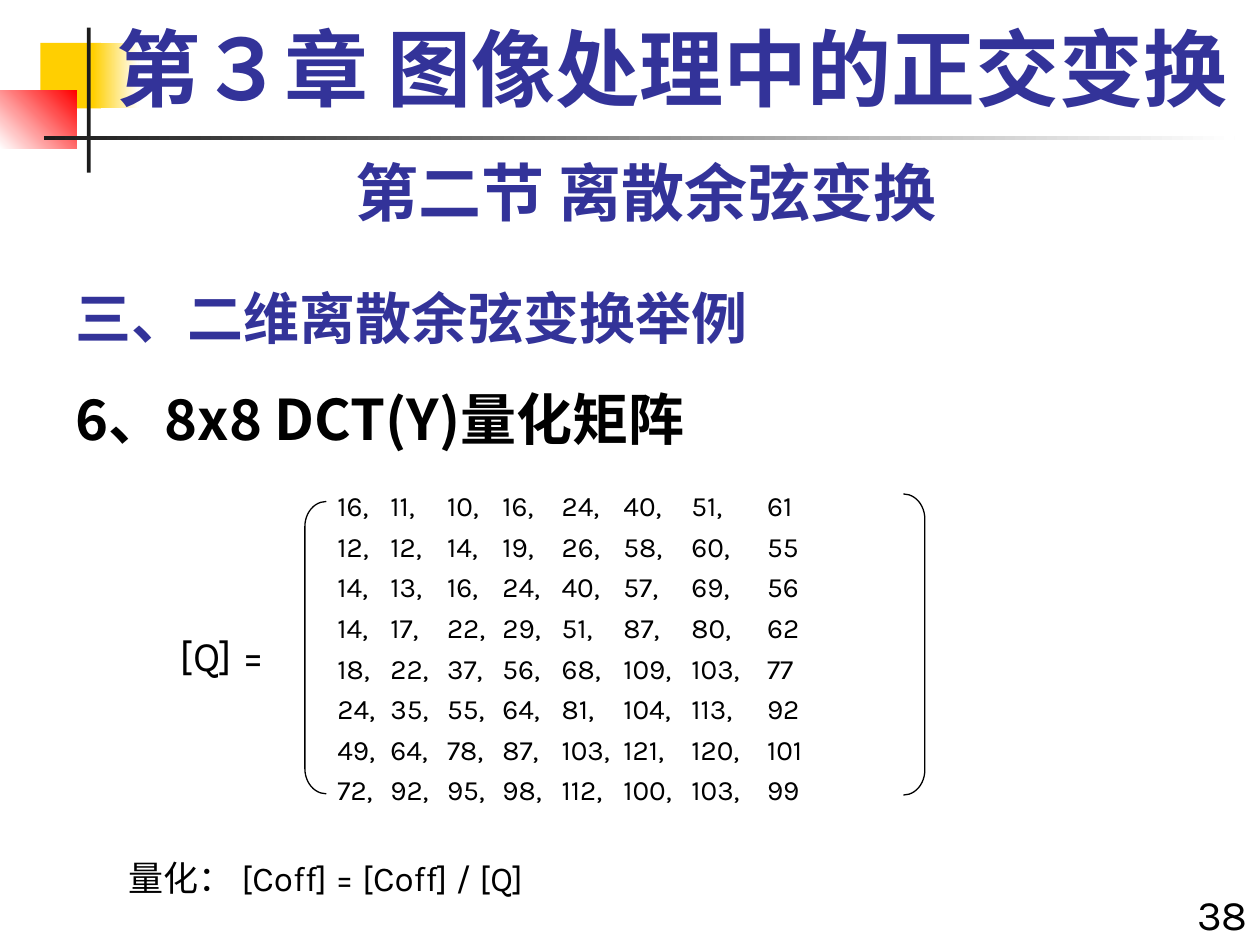
from dataclasses import dataclass
from typing import Optional

from lxml import etree
from pptx import Presentation
from pptx.dml.color import RGBColor
from pptx.enum.shapes import MSO_SHAPE
from pptx.enum.text import MSO_ANCHOR, PP_ALIGN
from pptx.oxml.ns import qn
from pptx.util import Inches, Pt

RECT = MSO_SHAPE.RECTANGLE
LEFT_ARC, RIGHT_ARC = MSO_SHAPE.LEFT_BRACKET, MSO_SHAPE.RIGHT_BRACKET
LEFT, CENTER, RIGHT = PP_ALIGN.LEFT, PP_ALIGN.CENTER, PP_ALIGN.RIGHT
TOP, BOTTOM = MSO_ANCHOR.TOP, MSO_ANCHOR.BOTTOM

GOLD = RGBColor(0xFF, 0xCF, 0x01)
RED = RGBColor(0xFF, 0x00, 0x00)
WHITE = RGBColor(0xFF, 0xFF, 0xFF)
INK = RGBColor(0x1C, 0x1C, 0x1C)
BLACK = RGBColor(0x00, 0x00, 0x00)
NAVY = RGBColor(0x33, 0x33, 0x99)

KARLA, NOTO, TIMES = "Karla", "Noto Sans CJK SC", "Times New Roman"

Box = tuple[float, float, float, float]


@dataclass
class Block:
    box: Box
    color: RGBColor
    end: Optional[RGBColor] = None
    angle: float = 0


@dataclass
class Label:
    box: Box
    lines: list[str]
    size: float
    font: str = KARLA
    color: RGBColor = BLACK
    bold: bool = False
    align: PP_ALIGN = LEFT
    anchor: MSO_ANCHOR = TOP
    space: float = 0
    pitch: Optional[float] = None
    stops: tuple[float, ...] = ()


@dataclass
class Arc:
    kind: MSO_SHAPE
    box: Box


BLOCKS = [
    Block((0.32, 0.34, 0.48, 0.52), GOLD),
    Block((0.74, 0.34, 0.36, 0.52), GOLD, WHITE),
    Block((0, 0.72, 0.61, 0.46), WHITE, RED, 45),
    Block((0.69, 0.22, 0.03, 1.15), INK),
    Block((0.35, 1.08, 9.45, 0.03), INK, WHITE),
]

MATRIX = [
    (16, 11, 10, 16, 24, 40, 51, 61),
    (12, 12, 14, 19, 26, 58, 60, 55),
    (14, 13, 16, 24, 40, 57, 69, 56),
    (14, 17, 22, 29, 51, 87, 80, 62),
    (18, 22, 37, 56, 68, 109, 103, 77),
    (24, 35, 55, 64, 81, 104, 113, 92),
    (49, 64, 78, 87, 103, 121, 120, 101),
    (72, 92, 95, 98, 112, 100, 103, 99),
]
ROWS = [",\t".join(map(str, row)) for row in MATRIX]
STOPS = (0.42, 0.87, 1.31, 1.78, 2.27, 2.81, 3.41)

LABELS = [
    Label((0.5, 2.2, 9.5, 0.63), ["三、二维离散余弦变换举例"], 32, NOTO, NAVY,
          True, anchor=BOTTOM),
    Label((0.5, 3, 9.29, 1), ["6、8x8 DCT(Y)量化矩阵"], 32, NOTO, bold=True),
    Label((0.5, 1.17, 9.25, 0.7), ["第二节 离散余弦变换"], 36, KARLA, NAVY,
          True, CENTER),
    Label((9.17, 7, 0.83, 0.59), ["38"], 24, align=RIGHT),
    Label((0.92, 6.75, 8.08, 0.44), ["量化： [Coff] = [Coff] / [Q]"], 20),
    Label((1.33, 4.95, 1.17, 0.5), ["[Q] ="], 24),
    Label((2.58, 3.83, 5, 2.62), ROWS, 16, space=4, stops=STOPS),
    Label((0.67, 0.17, 9.33, 0.83), ["第３章 图像处理中的正交变换"], 48, TIMES,
          NAVY, True, CENTER, pitch=0.9),
]

ARCS = [
    Arc(LEFT_ARC, (2.42, 3.98, 0.17, 2.32)),
    Arc(RIGHT_ARC, (7.17, 3.92, 0.17, 2.39)),
]


def place(box: Box) -> list[int]:
    return [Inches(v) for v in box]


def draw_block(slide, block: Block) -> None:
    shape = slide.shapes.add_shape(RECT, *place(block.box))
    shape.shadow.inherit = False
    shape.line.fill.background()
    if block.end is None:
        shape.fill.solid()
        shape.fill.fore_color.rgb = block.color
        return
    shape.fill.gradient()
    shape.fill.gradient_angle = block.angle
    for stop, color in zip(shape.fill.gradient_stops, (block.color, block.end)):
        stop.color.rgb = color


def draw_arc(slide, arc: Arc) -> None:
    shape = slide.shapes.add_shape(arc.kind, *place(arc.box))
    shape.shadow.inherit = False
    shape.adjustments[0] = 1.17
    shape.fill.background()
    shape.line.color.rgb = BLACK
    shape.line.width = Pt(0.75)


def add_stops(para, stops: tuple[float, ...]) -> None:
    """Give a paragraph left tab stops, in inches."""
    tabs = etree.SubElement(para._p.get_or_add_pPr(), qn("a:tabLst"))
    for stop in stops:
        etree.SubElement(tabs, qn("a:tab"), pos=str(Inches(stop)), algn="l")


def draw_label(slide, label: Label) -> None:
    frame = slide.shapes.add_textbox(*place(label.box)).text_frame
    frame.word_wrap = True
    frame.vertical_anchor = label.anchor
    for i, line in enumerate(label.lines):
        para = frame.add_paragraph() if i else frame.paragraphs[0]
        para.text = line
        para.alignment = label.align
        if i:
            para.space_before = Pt(label.space)
        if label.pitch:
            para.line_spacing = label.pitch
        if label.stops:
            add_stops(para, label.stops)
        font = para.font
        font.name = label.font
        font.size = Pt(label.size)
        font.bold = label.bold
        font.color.rgb = label.color


def main() -> None:
    deck = Presentation()
    deck.slide_width, deck.slide_height = Inches(10), Inches(7.5)
    slide = deck.slides.add_slide(deck.slide_layouts[6])
    for block in BLOCKS:
        draw_block(slide, block)
    for arc in ARCS:
        draw_arc(slide, arc)
    for label in LABELS:
        draw_label(slide, label)
    deck.save("out.pptx")


if __name__ == "__main__":
    main()
